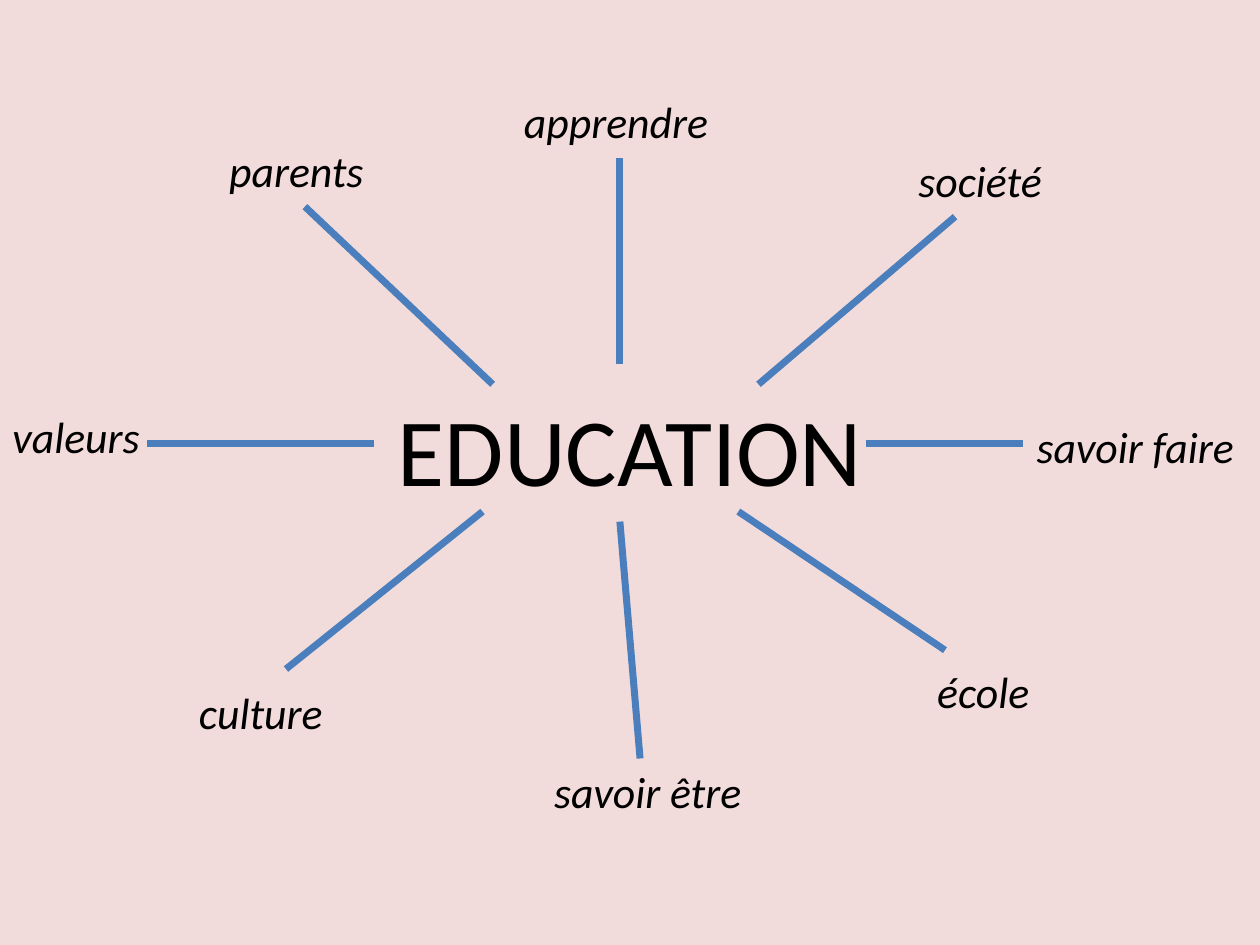
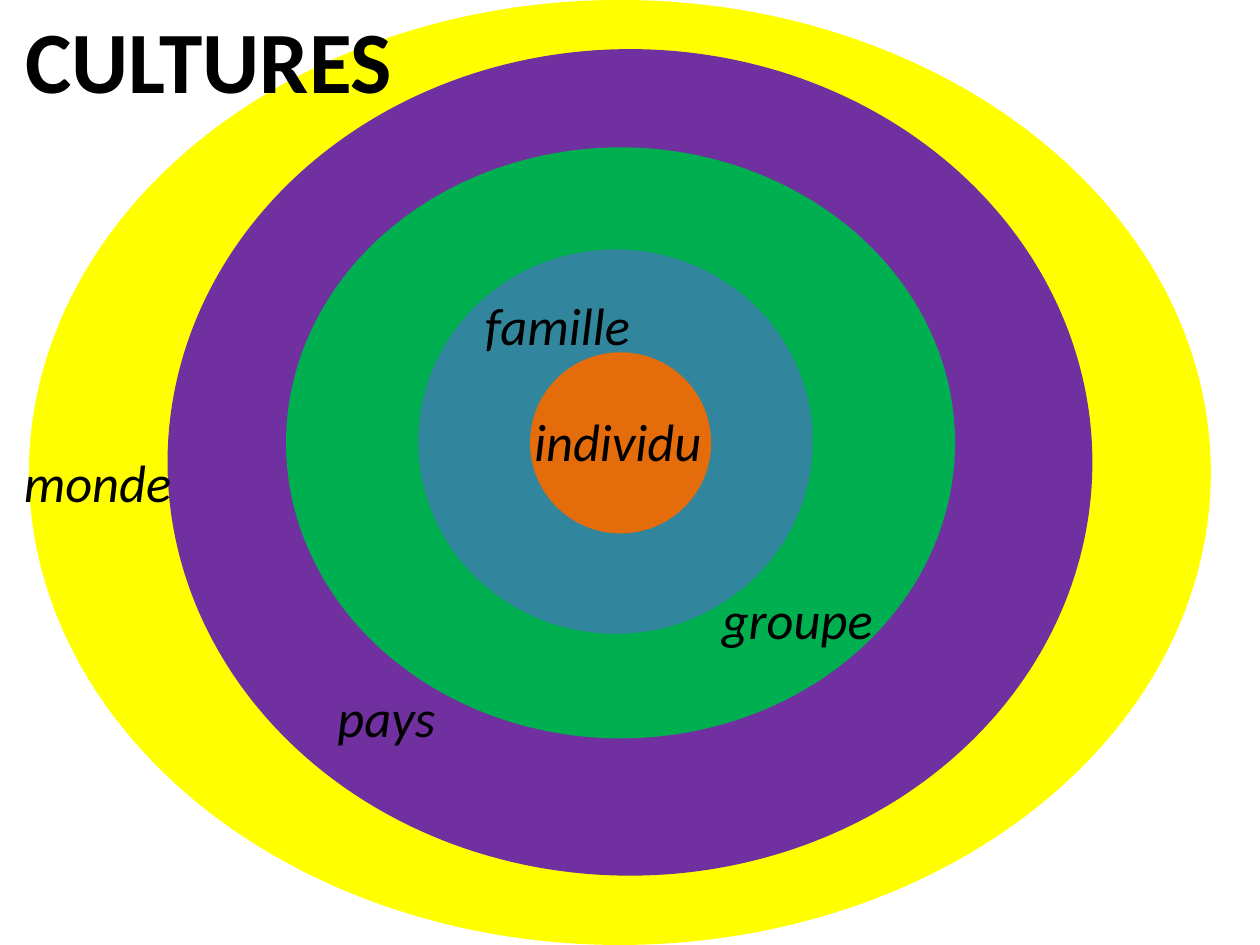
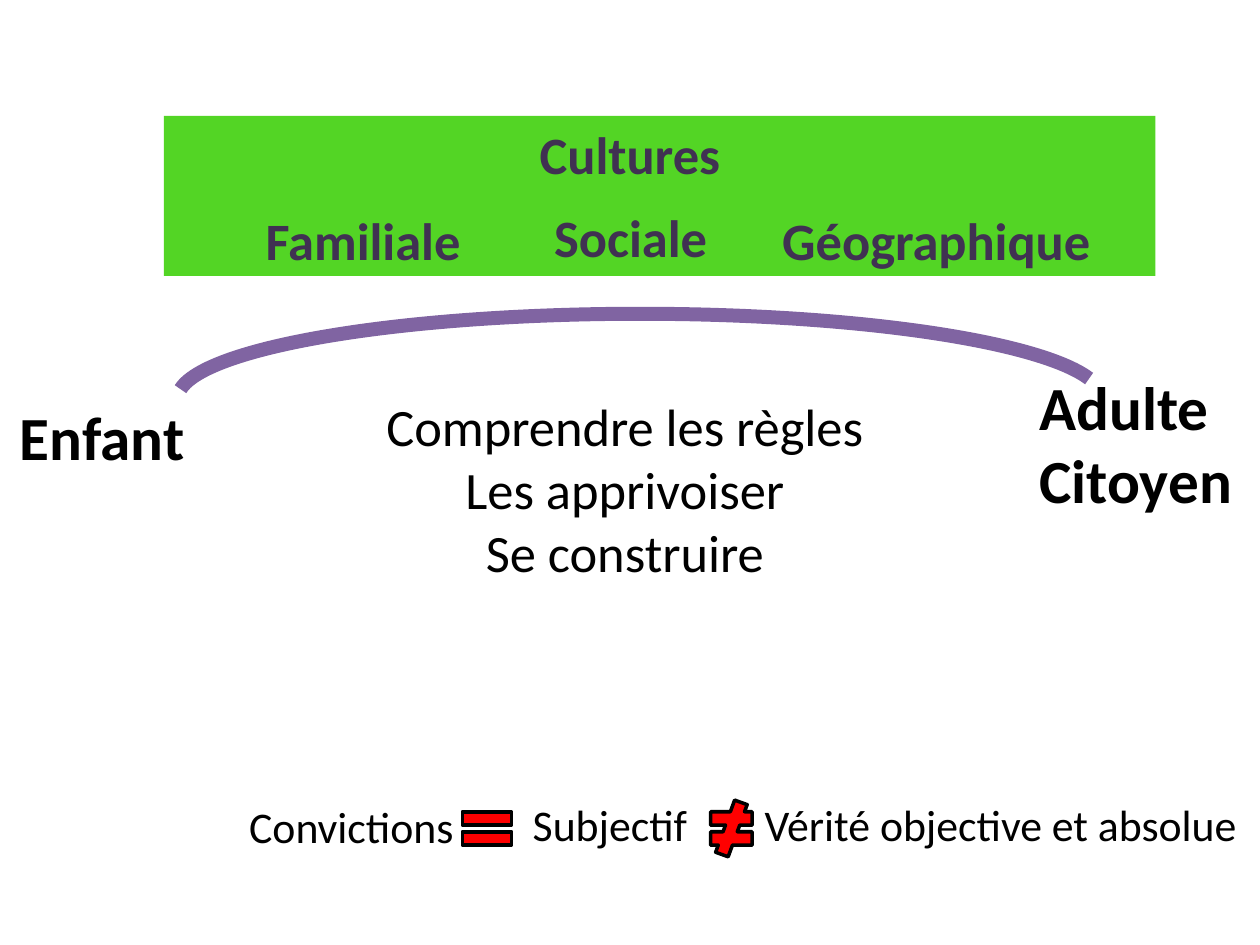
from lxml import etree
from pptx import Presentation
from pptx.dml.color import RGBColor
from pptx.enum.shapes import MSO_CONNECTOR, MSO_SHAPE
from pptx.enum.text import MSO_AUTO_SIZE, PP_ALIGN
from pptx.oxml.ns import qn
from pptx.util import Inches, Pt

BLACK = RGBColor(0x00, 0x00, 0x00)
WHITE = RGBColor(0xFF, 0xFF, 0xFF)
PINK = RGBColor(0xF2, 0xDC, 0xDB)
BLUE = RGBColor(0x4B, 0x7E, 0xBC)
YELLOW = RGBColor(0xFF, 0xFF, 0x00)
PURPLE = RGBColor(0x70, 0x30, 0xA0)
GREEN = RGBColor(0x00, 0xB0, 0x50)
TEAL = RGBColor(0x31, 0x85, 0x9C)
ORANGE = RGBColor(0xE4, 0x6C, 0x0A)
LIME = RGBColor(0x53, 0xD5, 0x25)
PLUM = RGBColor(0x40, 0x31, 0x52)
LAVENDER = RGBColor(0x80, 0x64, 0xA2)
RED = RGBColor(0xFF, 0x00, 0x00)


class Deck:
    """Holds the shared style and the slide being filled."""

    font_name = "Calibri"

    def __init__(self):
        self.presentation = Presentation()
        self.presentation.slide_width = Inches(10)
        self.presentation.slide_height = Inches(7.5)
        self.slide = None

    def new_slide(self, background=WHITE):
        self.slide = self.presentation.slides.add_slide(self.presentation.slide_layouts[6])
        fill = self.slide.background.fill
        fill.solid()
        fill.fore_color.rgb = background

    def text(self, text, box, size=30, color=BLACK, bold=False, italic=False,
             align=PP_ALIGN.LEFT, wrap=True):
        """Add a text box; each line of the text is a paragraph."""
        frame = self.slide.shapes.add_textbox(*map(Inches, box)).text_frame
        frame.word_wrap = wrap
        frame.auto_size = MSO_AUTO_SIZE.SHAPE_TO_FIT_TEXT
        frame.text = text
        for paragraph in frame.paragraphs:
            paragraph.alignment = align
            font = paragraph.runs[0].font
            font.name = self.font_name
            font.size = Pt(size)
            font.bold = bold
            font.italic = italic
            font.color.rgb = color

    def shape(self, kind, box, fill=None, line=None, line_width=2):
        shape = self.slide.shapes.add_shape(kind, *map(Inches, box))
        shape.shadow.inherit = False
        if fill is None:
            shape.fill.background()
        else:
            shape.fill.solid()
            shape.fill.fore_color.rgb = fill
        if line is None:
            shape.line.fill.background()
        else:
            shape.line.color.rgb = line
            shape.line.width = Pt(line_width)
        return shape

    def line(self, start, end, color=BLUE, width=4):
        connector = self.slide.shapes.add_connector(
            MSO_CONNECTOR.STRAIGHT, *map(Inches, (*start, *end)))
        connector.line.color.rgb = color
        connector.line.width = Pt(width)
        etree.SubElement(connector._element.spPr, qn("a:effectLst"))


def build_education(deck):
    deck.new_slide(PINK)
    deck.text("EDUCATION", (0, 3.05, 10, 1.03), size=55, align=PP_ALIGN.CENTER)
    # word, left, top, width, spoke start, spoke end
    branches = [
        ("apprendre", 4.06, 0.7, 1.8, (4.92, 2.89), (4.92, 1.25)),
        ("valeurs", 0, 3.2, 1.33, (2.97, 3.52), (1.17, 3.52)),
        ("parents", 1.72, 1.09, 1.41, (3.91, 3.05), (2.42, 1.64)),
        ("société", 7.19, 1.17, 1.25, (6.02, 3.05), (7.58, 1.72)),
        ("savoir faire", 8.13, 3.28, 1.87, (6.87, 3.52), (8.12, 3.52)),
        ("savoir être", 4.3, 6.02, 1.8, (4.92, 4.14), (5.08, 6.02)),
        ("culture", 1.48, 5.39, 1.71, (3.83, 4.06), (2.27, 5.31)),
        ("école", 7.34, 5.23, 1.23, (5.86, 4.06), (7.5, 5.16)),
    ]
    for word, left, top, width, start, end in branches:
        deck.line(start, end)
        deck.text(word, (left, top, width, 0.52), size=25, italic=True)


def build_cultures(deck):
    deck.new_slide()
    rings = [
        ((0.23, 0, 9.38, 7.5), YELLOW, None),
        ((1.33, 0.39, 7.34, 6.56), PURPLE, None),
        ((2.27, 1.17, 5.31, 4.69), GREEN, None),
        ((3.32, 1.98, 3.13, 3.05), TEAL, None),
        ((4.22, 2.81, 1.41, 1.41), ORANGE, ORANGE),
    ]
    for box, fill, line in rings:
        deck.shape(MSO_SHAPE.OVAL, box, fill, line)
    ring_names = [
        ("individu", 4.14, 3.2, 1.56),
        ("famille", 3.75, 2.28, 1.41),
        ("groupe", 5.63, 4.61, 1.48),
        ("pays", 2.58, 5.39, 1.02),
        ("monde", 0.09, 3.52, 1.41),
    ]
    for name, left, top, width in ring_names:
        deck.text(name, (left, top, width, 0.61), italic=True)
    deck.text("CULTURES", (0, 0, 3.32, 0.94), size=50, bold=True, align=PP_ALIGN.CENTER)


def build_path_to_citizen(deck):
    deck.new_slide()
    deck.shape(MSO_SHAPE.RECTANGLE, (1.3, 0.92, 7.87, 1.27), LIME)
    deck.text("Cultures", (0, 0.92, 10, 0.61), color=PLUM, bold=True, align=PP_ALIGN.CENTER)
    for culture, left, top, width in [("Familiale", 2.01, 1.6, 1.76),
                                      ("Sociale", 4.3, 1.58, 1.43),
                                      ("Géographique", 6.11, 1.6, 2.68)]:
        deck.text(culture, (left, top, width, 0.61), color=PLUM, bold=True, wrap=False)

    deck.text("Enfant", (0.06, 3.12, 1.56, 0.69), size=35, bold=True)
    deck.text("Adulte Citoyen", (8.15, 2.88, 1.73, 1.28), size=35, bold=True)
    deck.text("Comprendre les règles\nLes apprivoiser\nSe construire",
              (2.95, 3.08, 4.02, 1.62), align=PP_ALIGN.CENTER)
    arc = deck.shape(MSO_SHAPE.ARC, (1.41, 2.49, 7.34, 1.35), line=LAVENDER, line_width=8)
    arc.adjustments[0] = 108.72
    arc.adjustments[1] = 214.45

    for term, left, top, width, wrap in [
            ("Convictions", 1.88, 6.3, 2.1, True),
            ("Subjectif", 4.13, 6.28, 1.44, False),
            ("Vérité objective et absolue", 5.97, 6.28, 3.99, False)]:
        deck.text(term, (left, top, width, 0.52), size=25, wrap=wrap)
    for sign, left, width in [(MSO_SHAPE.MATH_EQUAL, 3.6, 0.53),
                              (MSO_SHAPE.MATH_NOT_EQUAL, 5.58, 0.45)]:
        deck.shape(sign, (left, 6.35, width, 0.45), RED, BLACK)


def main():
    deck = Deck()
    build_education(deck)
    build_cultures(deck)
    build_path_to_citizen(deck)
    deck.presentation.save("out.pptx")


if __name__ == "__main__":
    main()
